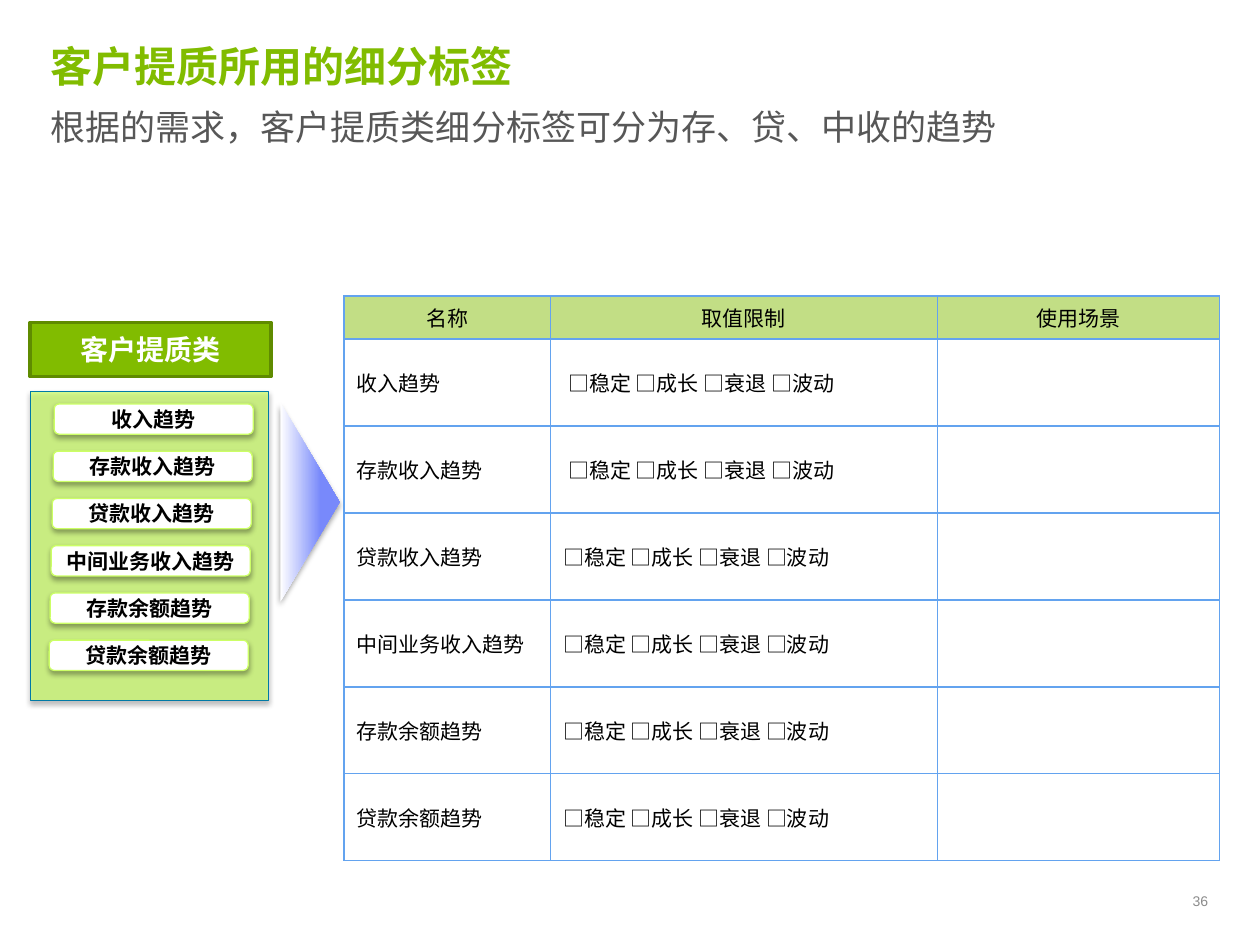
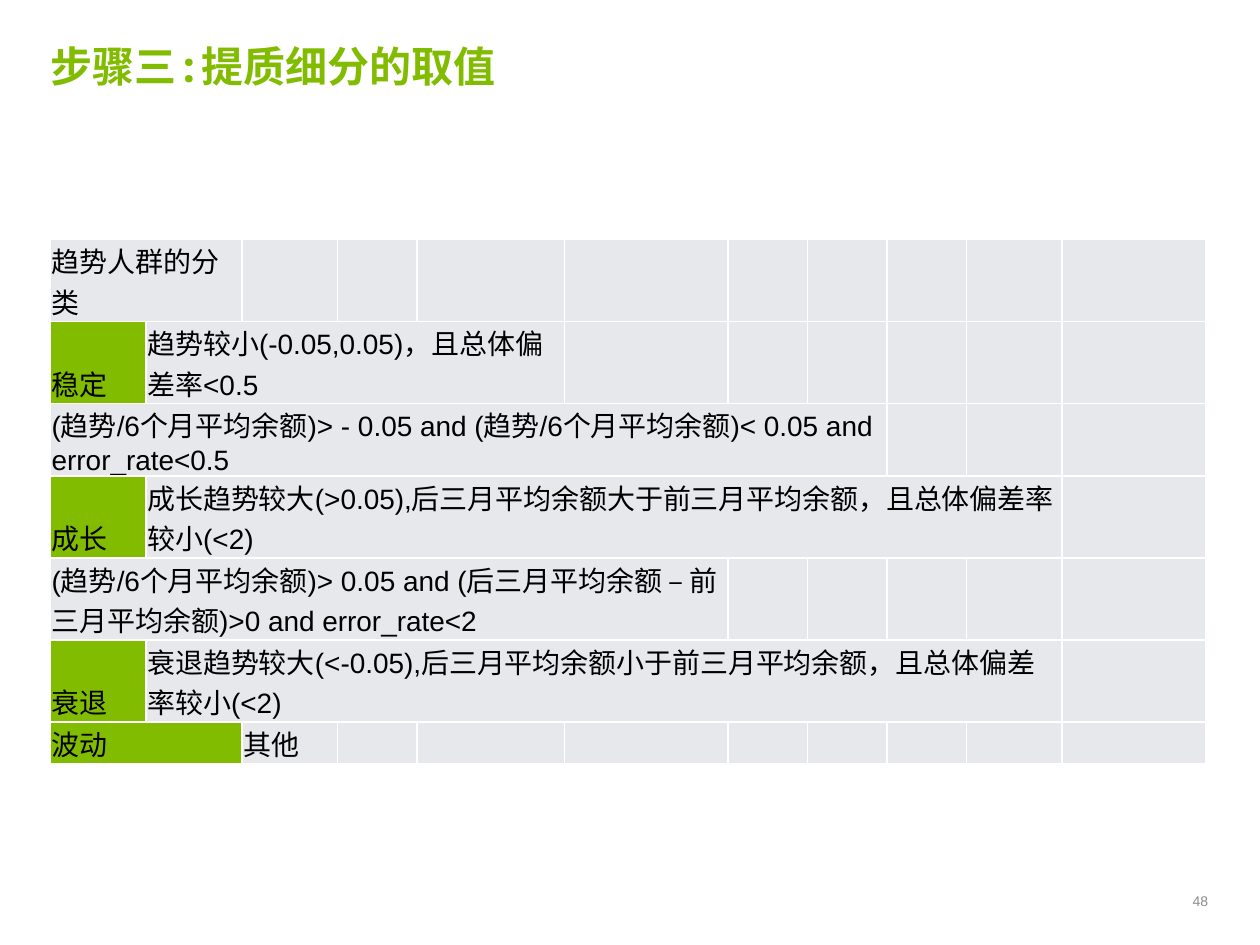
from dataclasses import dataclass

from lxml import etree
from pptx import Presentation
from pptx.dml.color import RGBColor
from pptx.enum.shapes import MSO_SHAPE
from pptx.enum.text import MSO_ANCHOR, MSO_AUTO_SIZE, PP_ALIGN
from pptx.oxml.ns import qn
from pptx.util import Inches, Pt

RECT, ROUND, TRIANGLE = MSO_SHAPE.RECTANGLE, MSO_SHAPE.ROUNDED_RECTANGLE, MSO_SHAPE.ISOSCELES_TRIANGLE
TOP, MIDDLE, BOTTOM = MSO_ANCHOR.TOP, MSO_ANCHOR.MIDDLE, MSO_ANCHOR.BOTTOM
LEFT, CENTER, RIGHT = PP_ALIGN.LEFT, PP_ALIGN.CENTER, PP_ALIGN.RIGHT
WIDTH, HEIGHT = Inches(10), Inches(7.5)
TITLE_ONLY = 5


@dataclass(frozen=True)
class Font:
    size: float
    color: str
    name: str = "Arial"
    bold: bool = False


@dataclass(frozen=True)
class Theme:
    green: str = "81BC00"
    dark_green: str = "5F8B00"
    lime: str = "CCFF66"
    teal: str = "0079A6"
    blue: str = "63A3EF"
    violet: str = "7889FB"
    gray: str = "E7E8EC"
    white: str = "FFFFFF"
    title: Font = Font(24, "81BC00", "Noto Sans Mono", True)
    subtitle: Font = Font(20, "575757", "Noto Sans Mono")
    number: Font = Font(8, "8C8C8C")
    category: Font = Font(16, "FFFFFF", "Noto Sans Mono", True)
    tag: Font = Font(12, "000000", "Noto Sans Mono", True)
    cell: Font = Font(12, "000000")
    rule: Font = Font(16, "000000")


T = Theme()


@dataclass(frozen=True)
class Box:
    """Percentages of the slide's width and height."""
    x: float
    y: float
    w: float
    h: float

    def emu(self) -> tuple:
        return across(self.x), down(self.y), across(self.w), down(self.h)


@dataclass(frozen=True)
class Look:
    fill: str
    line: str
    weight: float
    alpha: int = 100
    shadow: bool = False


@dataclass(frozen=True)
class Span:
    text: str
    cols: int = 1
    fill: str = T.gray


TITLE_BOX = Box(4, 4.27, 91.7, 6.8)
SUBTITLE_BOX = Box(4, 11.2, 91.7, 14.13)
NUMBER_BOX = Box(87.2, 93.47, 8.7, 3.73)
TAG_LOOK = Look(T.white, T.lime, 0.75, shadow=True)
PANEL_LOOK = Look(T.lime, T.teal, 0.75, 70, True)
CATEGORY_LOOK = Look(T.green, T.dark_green, 2)

TRENDS = ["收入趋势", "存款收入趋势", "贷款收入趋势", "中间业务收入趋势", "存款余额趋势", "贷款余额趋势"]
HEADERS = ["名称", "取值限制", "使用场景"]
CHOICES = "□稳定 □成长 □衰退 □波动"
INDENTED_ROWS = (1, 2)
RULES = [
    [Span("趋势人群的分类", 2)],
    [Span("稳定", fill=T.green), Span("趋势较小(-0.05,0.05)，且总体偏差率<0.5", 4)],
    [Span("(趋势/6个月平均余额)> - 0.05 and (趋势/6个月平均余额)< 0.05 and error_rate<0.5", 8)],
    [Span("成长", fill=T.green),
     Span("成长趋势较大(>0.05),后三月平均余额大于前三月平均余额，且总体偏差率较小(<2)", 9)],
    [Span("(趋势/6个月平均余额)> 0.05 and (后三月平均余额 – 前三月平均余额)>0 and error_rate<2", 6)],
    [Span("衰退", fill=T.green),
     Span("衰退趋势较大(<-0.05),后三月平均余额小于前三月平均余额，且总体偏差率较小(<2)", 9)],
    [Span("波动", 2, T.green), Span("其他")],
]


def across(share: float) -> int:
    return round(WIDTH * share / 100)


def down(share: float) -> int:
    return round(HEIGHT * share / 100)


def rgb(color: str) -> RGBColor:
    return RGBColor.from_string(color)


def write(tf, text: str, font: Font, align=LEFT) -> None:
    tf.text = text
    p = tf.paragraphs[0]
    p.alignment = align
    p.font.size, p.font.name, p.font.bold = Pt(font.size), font.name, font.bold
    p.font.color.rgb = rgb(font.color)


def frame(sp, text: str, font: Font, align=LEFT, anchor=TOP) -> None:
    tf = sp.text_frame
    tf.word_wrap, tf.auto_size, tf.vertical_anchor = True, MSO_AUTO_SIZE.NONE, anchor
    tf.margin_left = tf.margin_top = tf.margin_right = tf.margin_bottom = 0
    write(tf, text, font, align)


def set_alpha(element, percent: int) -> None:
    color = element.find(f".//{qn('a:solidFill')}/{qn('a:srgbClr')}")
    etree.SubElement(color, qn("a:alpha"), val=str(percent * 1000))


def add_shadow(sp) -> None:
    effects = sp._element.spPr.find(qn("a:effectLst"))
    outer = etree.SubElement(effects, qn("a:outerShdw"), blurRad=str(Pt(3.1)), dist=str(Pt(1.8)),
                             dir="5400000", rotWithShape="0")
    color = etree.SubElement(outer, qn("a:srgbClr"), val="000000")
    etree.SubElement(color, qn("a:alpha"), val="35000")


def add_block(s, kind, box: Box, look: Look):
    sp = s.shapes.add_shape(kind, *box.emu())
    sp.shadow.inherit = False
    sp.fill.solid()
    sp.fill.fore_color.rgb = rgb(look.fill)
    if look.alpha < 100:
        set_alpha(sp._element.spPr, look.alpha)
    sp.line.color.rgb = rgb(look.line)
    sp.line.width = Pt(look.weight)
    if look.shadow:
        add_shadow(sp)
    return sp


def add_arrow(s, box: Box) -> None:
    sp = s.shapes.add_shape(TRIANGLE, *box.emu())
    sp.rotation = 90
    sp.shadow.inherit = False
    sp.line.fill.background()
    sp.fill.gradient()
    sp.fill.gradient_angle = 90
    for stop, color, position in zip(sp.fill.gradient_stops, (T.white, T.violet), (0, 0.68)):
        stop.color.rgb = rgb(color)
        stop.position = position
    add_shadow(sp)


def add_grid(s, box: Box, cols: list, rows: list):
    table = s.shapes.add_table(len(rows), len(cols), *box.emu()).table
    table.first_row = table.horz_banding = False
    for col, share in zip(table.columns, cols):
        col.width = across(share)
    for row, share in zip(table.rows, rows):
        row.height = down(share)
    return table


def style_cell(cell, fill: str, border: str, alpha: int = 100) -> None:
    if fill:
        cell.fill.solid()
        cell.fill.fore_color.rgb = rgb(fill)
    else:
        cell.fill.background()
    tc_pr = cell._tc.get_or_add_tcPr()
    if alpha < 100:
        set_alpha(tc_pr, alpha)
    for i, side in enumerate(("lnL", "lnR", "lnT", "lnB")):
        ln = etree.Element(qn(f"a:{side}"), w=str(Pt(1)))
        etree.SubElement(etree.SubElement(ln, qn("a:solidFill")), qn("a:srgbClr"), val=border)
        tc_pr.insert(i, ln)


def add_page(prs, title: str, number: str):
    s = prs.slides.add_slide(prs.slide_layouts[TITLE_ONLY])
    sp = s.shapes.title
    sp.left, sp.top, sp.width, sp.height = TITLE_BOX.emu()
    frame(sp, title, T.title)
    frame(s.shapes.add_textbox(*NUMBER_BOX.emu()), number, T.number, RIGHT, MIDDLE)
    return s


def add_trend_table(s) -> None:
    table = add_grid(s, Box(27.3, 31.33, 69.5, 59.2), [16.4, 30.7, 22.4], [4] + [9.2] * len(TRENDS))
    lines = [HEADERS] + [[trend, CHOICES, ""] for trend in TRENDS]
    for r, line in enumerate(lines):
        for c, text in enumerate(line):
            cell = table.cell(r, c)
            cell.vertical_anchor = MIDDLE
            write(cell.text_frame, text, T.cell, LEFT if r else CENTER)
            style_cell(cell, "" if r else T.green, T.blue, 100 if r else 48)
    for r in INDENTED_ROWS:
        table.cell(r, 1).margin_left = Inches(0.14)


def add_rule_table(s) -> None:
    cols = [7.6, 7.6, 7.6, 6.3, 11.7, 13, 6.3, 6.3, 6.3, 7.6, 11.4]
    rows = [3.47, 3.47, 6.8] + [3.47] * 4
    table = add_grid(s, Box(4, 25.33, 91.7, 47.2), cols, rows)
    for r, spans in enumerate(RULES):
        used = sum(span.cols for span in spans)
        c = 0
        for span in spans + [Span("")] * (len(cols) - used):
            for k in range(c, c + span.cols):
                cell = table.cell(r, k)
                cell.vertical_anchor = BOTTOM
                cell.margin_left = cell.margin_right = cell.margin_top = Inches(0.01)
                cell.margin_bottom = 0
                style_cell(cell, span.fill, T.white)
            if span.cols > 1:
                table.cell(r, c).merge(table.cell(r, c + span.cols - 1))
            write(table.cell(r, c).text_frame, span.text, T.rule)
            c += span.cols


def build_tags(prs) -> None:
    s = add_page(prs, "客户提质所用的细分标签", "36")
    frame(s.shapes.add_textbox(*SUBTITLE_BOX.emu()),
          "根据的需求，客户提质类细分标签可分为存、贷、中收的趋势", T.subtitle)
    add_arrow(s, Box(16.7, 50, 15.8, 6.27))
    add_trend_table(s)
    category = add_block(s, RECT, Box(2.4, 34.13, 19.1, 5.73), CATEGORY_LOOK)
    frame(category, "客户提质类", T.category, CENTER, MIDDLE)
    add_block(s, RECT, Box(2.4, 41.47, 18.9, 32.67), PANEL_LOOK)
    for i, trend in enumerate(TRENDS):
        tag = add_block(s, ROUND, Box(4.3 - 0.08 * i, 42.75 + 5 * i, 15.8, 3.2), TAG_LOOK)
        frame(tag, trend, T.tag, CENTER, MIDDLE)


def build_rules(prs) -> None:
    s = add_page(prs, "步骤三:提质细分的取值", "48")
    add_rule_table(s)


def main() -> None:
    prs = Presentation()
    prs.slide_width, prs.slide_height = WIDTH, HEIGHT
    build_tags(prs)
    build_rules(prs)
    prs.save("out.pptx")


if __name__ == "__main__":
    main()
